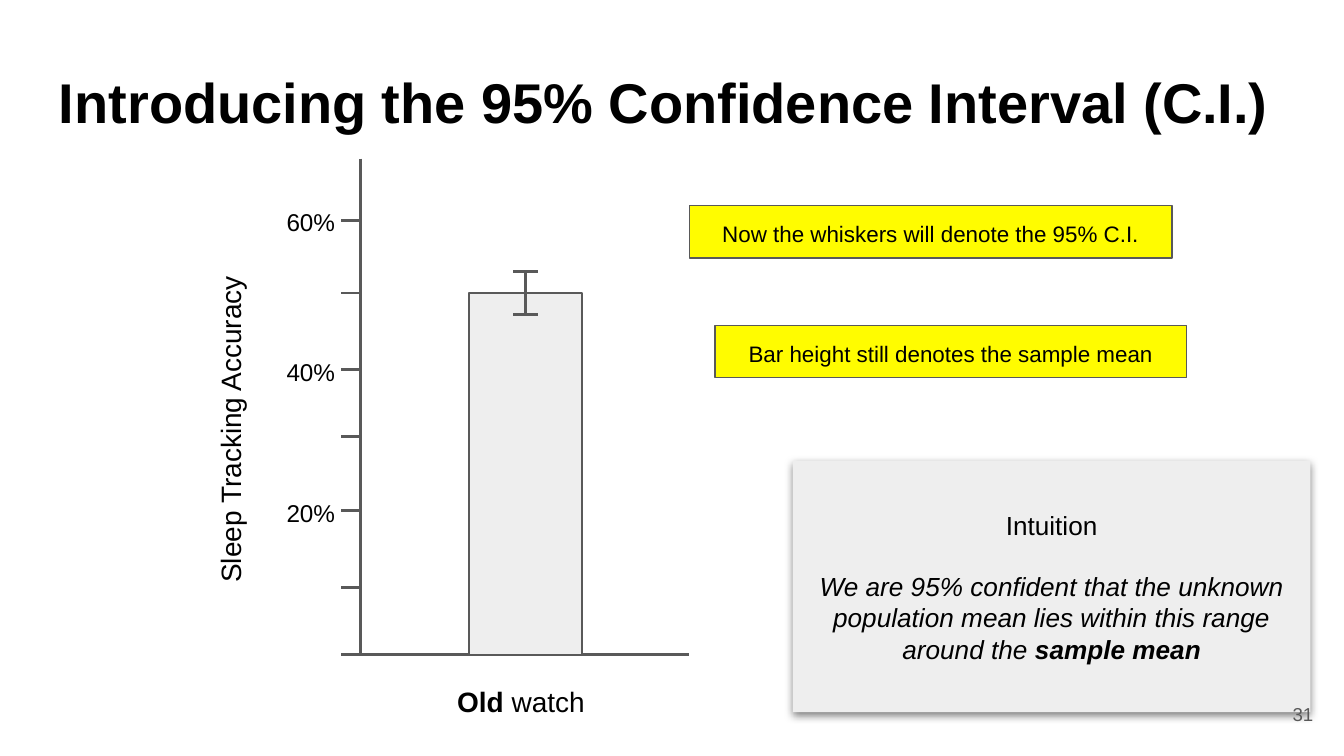
"""Build the slide that introduces the 95% confidence interval."""
from lxml.etree import SubElement
from pptx import Presentation
from pptx.dml.color import RGBColor
from pptx.enum.shapes import MSO_CONNECTOR, MSO_SHAPE
from pptx.enum.text import MSO_ANCHOR, PP_ALIGN
from pptx.oxml.ns import qn
from pptx.util import Inches, Pt

BLACK = RGBColor(0x00, 0x00, 0x00)
GRAY = RGBColor(0x59, 0x59, 0x59)
LIGHT = RGBColor(0xEE, 0xEE, 0xEE)
YELLOW = RGBColor(0xFF, 0xFC, 0x00)

TITLE = "Introducing the 95% Confidence Interval (C.I.)"
Y_TITLE = "Sleep Tracking Accuracy"
CATEGORY = [("Old ", "b"), ("watch ", "")]
TICKS = [1.64, 2.18, 2.75, 3.25, 3.8, 4.37, 4.87]
TICK_LABELS = [("60%", 1.29), ("40%", 2.41), ("20%", 3.46)]
CALLOUTS = [
    ("Now the whiskers will denote the 95% C.I.", (5.13, 1.53, 3.59, 0.39)),
    ("Bar height still denotes the sample mean", (5.32, 2.42, 3.51, 0.39)),
]
INTUITION = [
    [("Intuition", "")],
    [("We are 95% confident that the unknown population mean lies within "
      "this range around the ", "i"), ("sample mean", "bi")],
]
PAGE = "31"

WIDTH, ASPECT = 10, 16 / 9
AXIS_X, AXIS_TOP, AXIS_RIGHT, TICK_LEN = 2.68, 1.18, 5.13, 0.14
BASE = TICKS[-1]
BAR_LEFT, BAR_TOP, BAR_WIDTH = 3.49, 2.18, 0.84
WHISKER_X, WHISKER_HALF, CAP_HALF = 3.91, 0.16, 0.09


def write(sp, paragraphs, size, align=PP_ALIGN.CENTER, anchor=MSO_ANCHOR.MIDDLE,
          color=BLACK, spacing=None, after=None, gap=0):
    tf = sp.text_frame
    tf.word_wrap = True
    tf.vertical_anchor = anchor
    tf.margin_left = tf.margin_right = Inches(0.1)
    tf.margin_top = tf.margin_bottom = Inches(0.1)
    for i, runs in enumerate(paragraphs):
        p = tf.add_paragraph() if i else tf.paragraphs[0]
        p.alignment = align
        if spacing:
            p.line_spacing = spacing
        if after:
            p.space_after = Pt(after)
        if i:
            p.space_before = Pt(gap)
        for text, style in runs:
            r = p.add_run()
            r.text = text
            r.font.name = "Arial"
            r.font.size = Pt(size)
            r.font.color.rgb = color
            r.font.bold = "b" in style
            r.font.italic = "i" in style


def add_text(s, box, paragraphs, size, **options):
    sp = s.shapes.add_textbox(*map(Inches, box))
    write(sp, paragraphs, size, **options)
    return sp


def add_rect(s, box, fill, outlined=True):
    sp = s.shapes.add_shape(MSO_SHAPE.RECTANGLE, *map(Inches, box))
    sp.shadow.inherit = False
    sp.fill.solid()
    sp.fill.fore_color.rgb = fill
    if outlined:
        sp.line.color.rgb = GRAY
        sp.line.width = Pt(0.75)
    else:
        sp.line.fill.background()
    return sp


def add_line(shapes, *ends):
    c = shapes.add_connector(MSO_CONNECTOR.STRAIGHT, *map(Inches, ends))
    c.line.color.rgb = GRAY
    c.line.width = Pt(1.5)
    SubElement(c._element.spPr, qn("a:effectLst"))


def add_shadow(sp):
    effects = sp._element.spPr.find(qn("a:effectLst"))
    shadow = SubElement(effects, qn("a:outerShdw"), blurRad=str(Pt(4.5)),
                        dist=str(Pt(1.5)), dir="5400000", algn="bl", rotWithShape="0")
    color = SubElement(shadow, qn("a:srgbClr"), val=str(BLACK))
    SubElement(color, qn("a:alpha"), val="50000")


def add_bar_plot(s):
    add_line(s.shapes, AXIS_X, AXIS_TOP, AXIS_X, BASE)
    add_line(s.shapes, AXIS_X, BASE, AXIS_RIGHT, BASE)
    for y in TICKS:
        add_line(s.shapes, AXIS_X, y, AXIS_X - TICK_LEN, y)
    for label, top in TICK_LABELS:
        add_text(s, (1.6, top, 0.99, 0.67), [[(label, "")]], 13,
                 align=PP_ALIGN.RIGHT, spacing=1.2, after=10)
    add_rect(s, (BAR_LEFT, BAR_TOP, BAR_WIDTH, BASE - BAR_TOP), LIGHT)
    add_text(s, (3.11, 4.94, 1.59, 0.45), [CATEGORY], 15,
             anchor=MSO_ANCHOR.TOP, spacing=1.2, after=10)
    whisker = s.shapes.add_group_shape().shapes
    low, high = BAR_TOP + WHISKER_HALF, BAR_TOP - WHISKER_HALF
    add_line(whisker, WHISKER_X, high, WHISKER_X, low)
    for y in (high, low):
        add_line(whisker, WHISKER_X + CAP_HALF, y, WHISKER_X - CAP_HALF, y)
    sp = add_text(s, (0.3, 2.97, 2.72, 0.45), [[(Y_TITLE, "")]], 15,
                  anchor=MSO_ANCHOR.TOP, spacing=1.2, after=10)
    sp.rotation = 270


def main():
    prs = Presentation()
    prs.slide_width, prs.slide_height = Inches(WIDTH), Inches(WIDTH / ASPECT)
    s = prs.slides.add_slide(prs.slide_layouts[6])
    add_text(s, (0.34, 0.4, 9.32, 0.63), [[(TITLE, "b")]], 30,
             align=PP_ALIGN.LEFT, anchor=MSO_ANCHOR.TOP)
    add_bar_plot(s)
    for text, box in CALLOUTS:
        write(add_rect(s, box, YELLOW), [[(text, "")]], 12, spacing=1.15)
    sp = add_rect(s, (5.9, 3.43, 3.85, 1.87), LIGHT, outlined=False)
    add_shadow(sp)
    write(sp, INTUITION, 14, gap=16)
    add_text(s, (9.27, 5.1, 0.6, 0.43), [[(PAGE, "")]], 10,
             align=PP_ALIGN.RIGHT, color=GRAY)
    prs.save("out.pptx")


if __name__ == "__main__":
    main()
